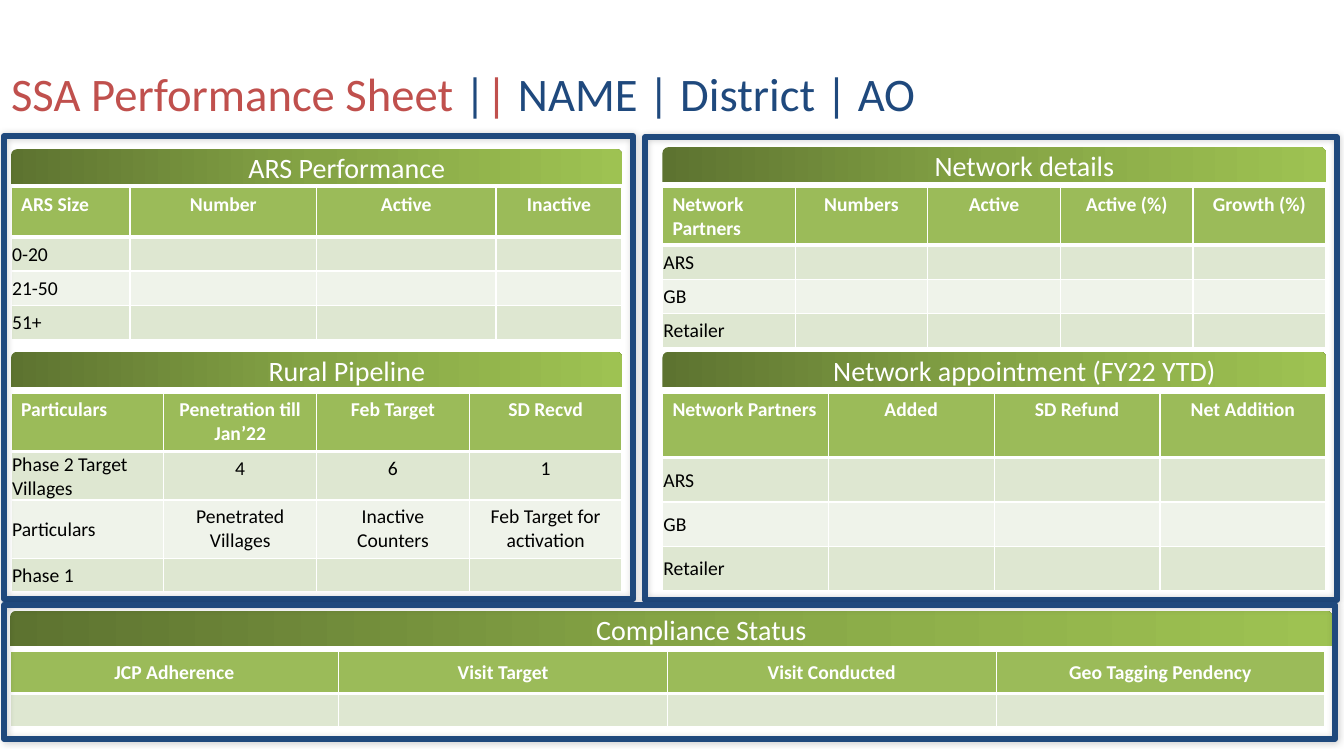
from copy import deepcopy

from lxml import etree
from pptx import Presentation
from pptx.dml.color import RGBColor
from pptx.enum.shapes import MSO_SHAPE
from pptx.enum.text import MSO_ANCHOR, PP_ALIGN
from pptx.oxml.ns import qn
from pptx.util import Emu, Pt

LEFT, CENTER = PP_ALIGN.LEFT, PP_ALIGN.CENTER
TOP, MIDDLE = MSO_ANCHOR.TOP, MSO_ANCHOR.MIDDLE
RECTANGLE, BANNER = MSO_SHAPE.RECTANGLE, MSO_SHAPE.ROUND_2_SAME_RECTANGLE

EMU_PER_PX = 9144  # 100 px to the inch
FONT = "Calibri"
NAVY, RED, WHITE, BLACK = "1F497D", "C0504D", "FFFFFF", "000000"
HEADER_GREEN, BANDS = "9BBB59", ("DEE7D1", "EFF3EA")
GRADIENT = ("5D7330", "85A445", "9EC252")
MARGINS = ("margin_left", "margin_top", "margin_right", "margin_bottom")
TABLE_SIZE = 14


def px(length):
    return Emu(round(length * EMU_PER_PX))


def rgb(color):
    return RGBColor.from_string(color)


def set_format(target, values):
    for name, value in values.items():
        setattr(target, name, value)


def set_margins(target, margins):
    set_format(target, dict(zip(MARGINS, map(px, margins))))


def add_run(paragraph, text, size, color, bold=False):
    run = paragraph.add_run()
    run.text = text
    set_format(run.font, {"name": FONT, "size": Pt(size), "bold": bold})
    run.font.color.rgb = rgb(color)


def add_title(slide, box):
    frame = slide.shapes.add_textbox(*map(px, box)).text_frame
    set_format(frame, {"word_wrap": True, "vertical_anchor": MIDDLE})
    set_margins(frame, (0, 0, 0, 0))
    for text, color in (("SSA Performance Sheet ", RED), ("|", NAVY),
                        ("|", RED), (" NAME | District | AO", NAVY)):
        add_run(frame.paragraphs[0], text, 33.3, color)


def add_banner(slide, box, text):
    shape = slide.shapes.add_shape(BANNER, *map(px, box))
    shape.shadow.inherit = False
    shape.line.fill.background()
    # Three-stop horizontal gradient
    shape.fill.gradient()
    shape.fill.gradient_angle = 0
    stop_list = shape._element.spPr.find(".//" + qn("a:gsLst"))
    stop_list.insert(1, deepcopy(stop_list[0]))
    for index, (stop, color) in enumerate(zip(shape.fill.gradient_stops, GRADIENT)):
        stop.position = index / 2
        stop.color.rgb = rgb(color)
    frame = shape.text_frame
    set_format(frame, {"word_wrap": True, "vertical_anchor": MIDDLE})
    set_margins(frame, (70, 0, 10, 0))
    frame.paragraphs[0].alignment = CENTER
    add_run(frame.paragraphs[0], text, 20, WHITE)


def add_borders(cell, top, bottom):
    properties = cell._tc.get_or_add_tcPr()
    for side, points in (("L", 1), ("R", 1), ("T", top), ("B", bottom)):
        line = etree.SubElement(properties, qn(f"a:ln{side}"), w=str(Pt(points)))
        fill = etree.SubElement(line, qn("a:solidFill"))
        etree.SubElement(fill, qn("a:srgbClr"), val=WHITE)


def fill_cell(cell, text, row, column, centered_header):
    header = row == 0
    tight = (not header and (column == 0 or not text)) or (header and centered_header)
    add_borders(cell, 3 if row == 1 else 1, 3 if header else 1)
    cell.fill.solid()
    cell.fill.fore_color.rgb = rgb(HEADER_GREEN if header else BANDS[(row - 1) % 2])
    cell.vertical_anchor = MIDDLE if tight else TOP
    set_margins(cell, (1, 1, 1, 0) if tight else (10, 5, 10, 5))
    paragraph = cell.text_frame.paragraphs[0]
    paragraph.alignment = CENTER if column or centered_header else LEFT
    if text:
        add_run(paragraph, text, TABLE_SIZE, WHITE if header else BLACK, header)
    else:
        etree.SubElement(paragraph._p, qn("a:endParaRPr"), sz=str(TABLE_SIZE * 100))


def add_grid(slide, left, top, columns, heights, rows, centered_header=False):
    graphic = slide.shapes.add_table(len(rows), len(columns), px(left), px(top),
                                     px(sum(columns)), px(sum(heights)))
    table = graphic.table
    set_format(table, {"first_row": False, "horz_banding": False})
    for column, width in zip(table.columns, columns):
        column.width = px(width)
    for row, height in zip(table.rows, heights):
        row.height = px(height)
    for row, texts in enumerate(rows):
        for column in range(len(columns)):
            text = texts[column] if column < len(texts) else ""
            fill_cell(table.cell(row, column), text, row, column, centered_header)


def add_frame(slide, box):
    shape = slide.shapes.add_shape(RECTANGLE, *map(px, box))
    shape.fill.background()
    shape.line.color.rgb = rgb(NAVY)
    shape.line.width = Pt(4.25)
    # Soft glow-like shadow
    shape.shadow.inherit = False
    effects = shape._element.spPr.find(qn("a:effectLst"))
    shadow = etree.SubElement(effects, qn("a:outerShdw"), blurRad=str(Pt(5)),
                              dist="0", dir="0", rotWithShape="0")
    color = etree.SubElement(shadow, qn("a:srgbClr"), val=BLACK)
    etree.SubElement(color, qn("a:alpha"), val="20000")


def add_section(slide, box, title, table_offset, columns, heights, rows,
                centered_header=False):
    left, top, width = box
    add_grid(slide, left, top + table_offset, columns, heights, rows, centered_header)
    add_banner(slide, (left, top, width, 35), title)


def add_ars_panel(slide, left, top, width, height):
    add_section(slide, (left + 7, top + 13, 606), "ARS Performance", 38,
                [118, 185, 178, 125], [49, 34, 34, 34],
                [["ARS Size", "Number", "Active", "Inactive"],
                 ["0-20"], ["21-50"], ["51+"]])
    add_section(slide, (left + 7, top + 214, 606), "Rural Pipeline", 41,
                [606 / 4] * 4, [58, 48, 58, 33],
                [["Particulars", "Penetration till Jan’22", "Feb Target", "SD Recvd"],
                 ["Phase 2 Target Villages", "4", "6", "1"],
                 ["Particulars", "Penetrated Villages", "Inactive Counters",
                  "Feb Target for activation"],
                 ["Phase 1"]])
    add_frame(slide, (left, top, width, height))


def add_network_panel(slide, left, top, width, height):
    partners = [["ARS"], ["GB"], ["Retailer"]]
    add_section(slide, (left + 17, top + 10, 658), "Network details", 40,
                [658 / 5] * 5, [57, 34, 34, 34],
                [["Network Partners", "Numbers", "Active", "Active (%)",
                  "Growth (%)"]] + partners)
    add_section(slide, (left + 17, top + 213, 658), "Network appointment (FY22 YTD)",
                41, [658 / 4] * 4, [64, 44, 44, 44],
                [["Network Partners", "Added", "SD Refund", "Net Addition"]] + partners)
    add_frame(slide, (left, top, width, height))


def add_compliance_panel(slide, left, top, width, height):
    add_section(slide, (left + 6, top + 6, 1311), "Compliance Status", 40,
                [326] * 4, [42, 33],
                [["JCP Adherence", "Visit Target", "Visit Conducted",
                  "Geo Tagging Pendency"], []], centered_header=True)
    add_frame(slide, (left, top, width, height))


def main():
    presentation = Presentation()
    set_format(presentation, {"slide_width": px(1333), "slide_height": px(750)})
    slide = presentation.slides.add_slide(presentation.slide_layouts[6])
    add_title(slide, (11, 62, 1200, 60))
    add_ars_panel(slide, 4, 135, 624, 459)
    add_network_panel(slide, 640, 136, 686, 459)
    add_compliance_panel(slide, 4, 600, 1320, 133)
    presentation.save("out.pptx")


if __name__ == "__main__":
    main()
